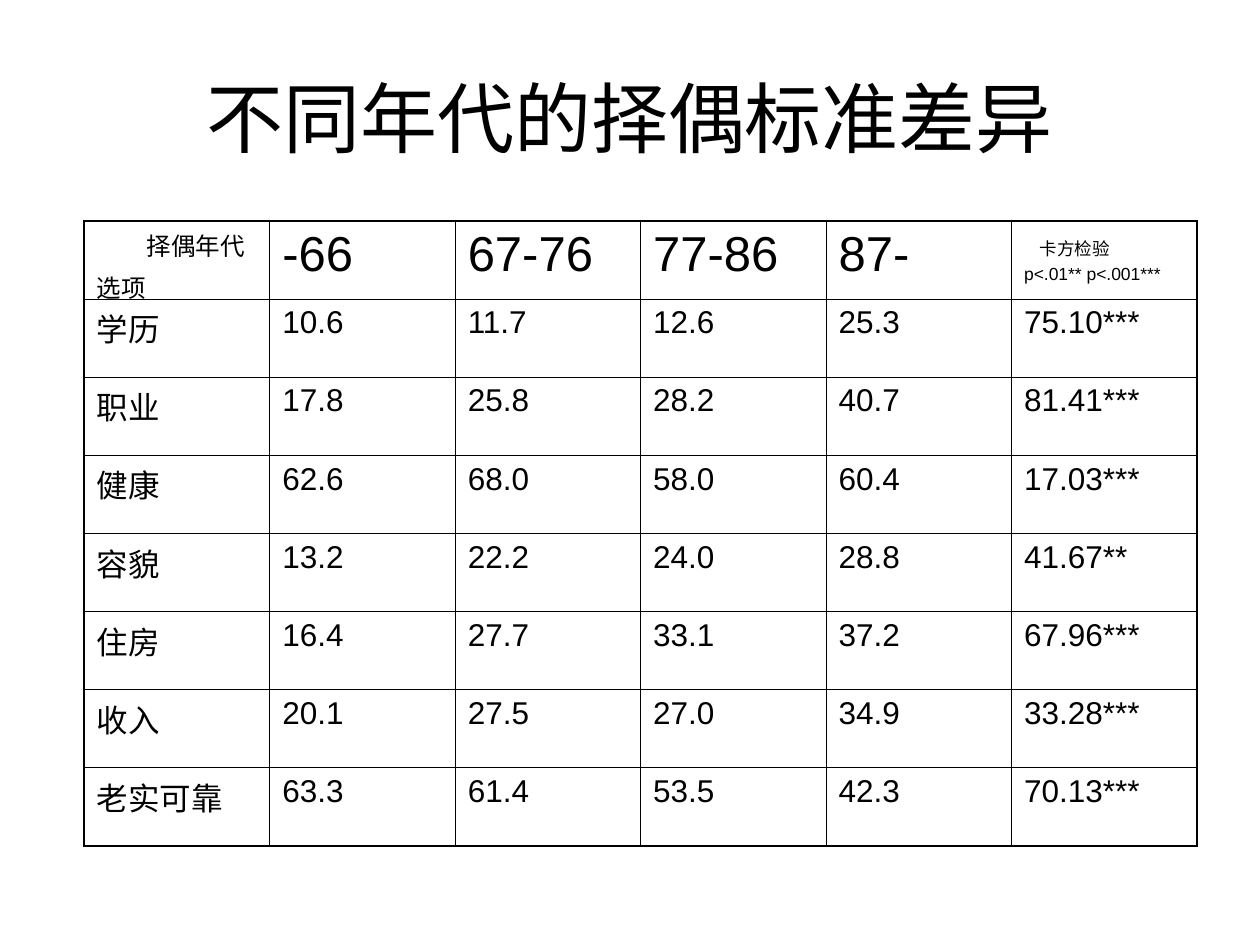
from lxml.etree import SubElement
from pptx import Presentation
from pptx.dml.color import RGBColor
from pptx.enum.text import MSO_ANCHOR, PP_ALIGN
from pptx.oxml.ns import qn
from pptx.util import Cm, Pt

COLORS = {"text": "000000", "border": "000000"}
FONT = "Arial"
OUTER, INNER = Pt(1.08), Pt(0.45)

HEADERS = ["择偶年代\n选项", "-66", "67-76", "77-86", "87-",
           "卡方检验\np<.01** p<.001***"]
HEADER_SIZES = [14, 28, 28, 28, 28, 10]
HEADER_INDENTS = {0: Cm(1), 5: Cm(0.32)}
BODY = [
    ["学历", "10.6", "11.7", "12.6", "25.3", "75.10***"],
    ["职业", "17.8", "25.8", "28.2", "40.7", "81.41***"],
    ["健康", "62.6", "68.0", "58.0", "60.4", "17.03***"],
    ["容貌", "13.2", "22.2", "24.0", "28.8", "41.67**"],
    ["住房", "16.4", "27.7", "33.1", "37.2", "67.96***"],
    ["收入", "20.1", "27.5", "27.0", "34.9", "33.28***"],
    ["老实可靠", "63.3", "61.4", "53.5", "42.3", "70.13***"],
]
rows = [HEADERS] + BODY


def style_text(text_frame, size):
    for paragraph in text_frame.paragraphs:
        paragraph.font.name = FONT
        paragraph.font.size = Pt(size)
        paragraph.font.color.rgb = RGBColor.from_string(COLORS["text"])


def set_borders(cell, widths):
    """Draw the left, right, top and bottom lines, which must precede the fill."""
    properties = cell._tc.get_or_add_tcPr()
    for position, (side, width) in enumerate(zip("LRTB", widths)):
        line = SubElement(properties, qn(f"a:ln{side}"), w=str(width))
        fill = SubElement(line, qn("a:solidFill"))
        SubElement(fill, qn("a:srgbClr"), val=COLORS["border"])
        properties.insert(position, line)


presentation = Presentation()
presentation.slide_width = Cm(25.4)
presentation.slide_height = Cm(19.05)
slide = presentation.slides.add_slide(presentation.slide_layouts[6])

title = slide.shapes.add_textbox(Cm(1.27), Cm(0.76), Cm(22.86), Cm(3.18))
title.text_frame.word_wrap = True
title.text_frame.vertical_anchor = MSO_ANCHOR.MIDDLE
title.text_frame.text = "不同年代的择偶标准差异"
title.text_frame.paragraphs[0].alignment = PP_ALIGN.CENTER
style_text(title.text_frame, 44)

table = slide.shapes.add_table(len(rows), len(HEADERS), Cm(1.7), Cm(4.45),
                               Cm(22.43), Cm(12.6)).table
table.first_row = False
table.horz_banding = False
last_row, last_column = len(rows) - 1, len(HEADERS) - 1

for row_index, values in enumerate(rows):
    for column_index, value in enumerate(values):
        cell = table.cell(row_index, column_index)
        cell.text = value
        size = 18 if row_index else HEADER_SIZES[column_index]
        style_text(cell.text_frame, size)
        for paragraph in cell.text_frame.paragraphs[1:]:
            paragraph.space_before = Pt(size / 4)
        cell.fill.background()
        edges = [column_index == 0, column_index == last_column,
                 row_index == 0, row_index == last_row]
        set_borders(cell, [OUTER if edge else INNER for edge in edges])

for column_index, indent in HEADER_INDENTS.items():
    paragraph = table.cell(0, column_index).text_frame.paragraphs[0]
    paragraph._p.get_or_add_pPr().set("indent", str(indent))
table.cell(0, last_column).margin_top = Cm(0.3)

presentation.save("out.pptx")
